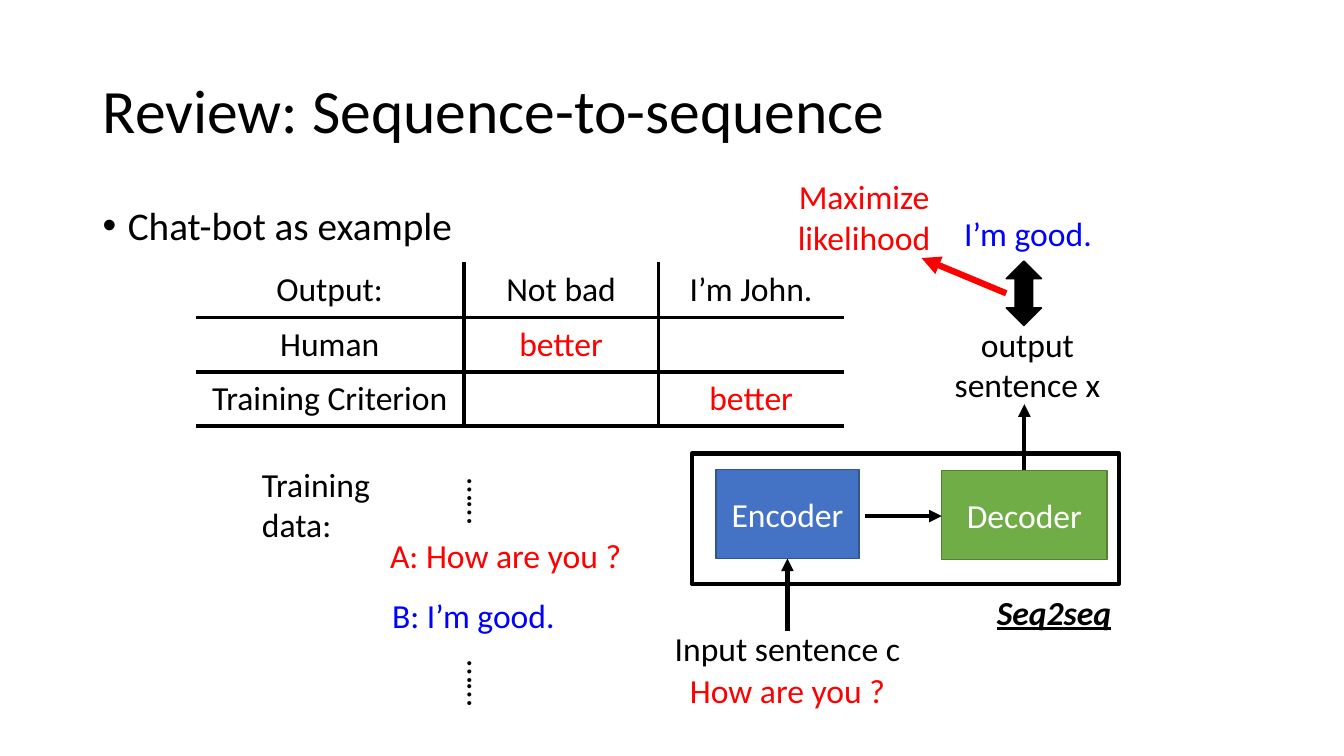
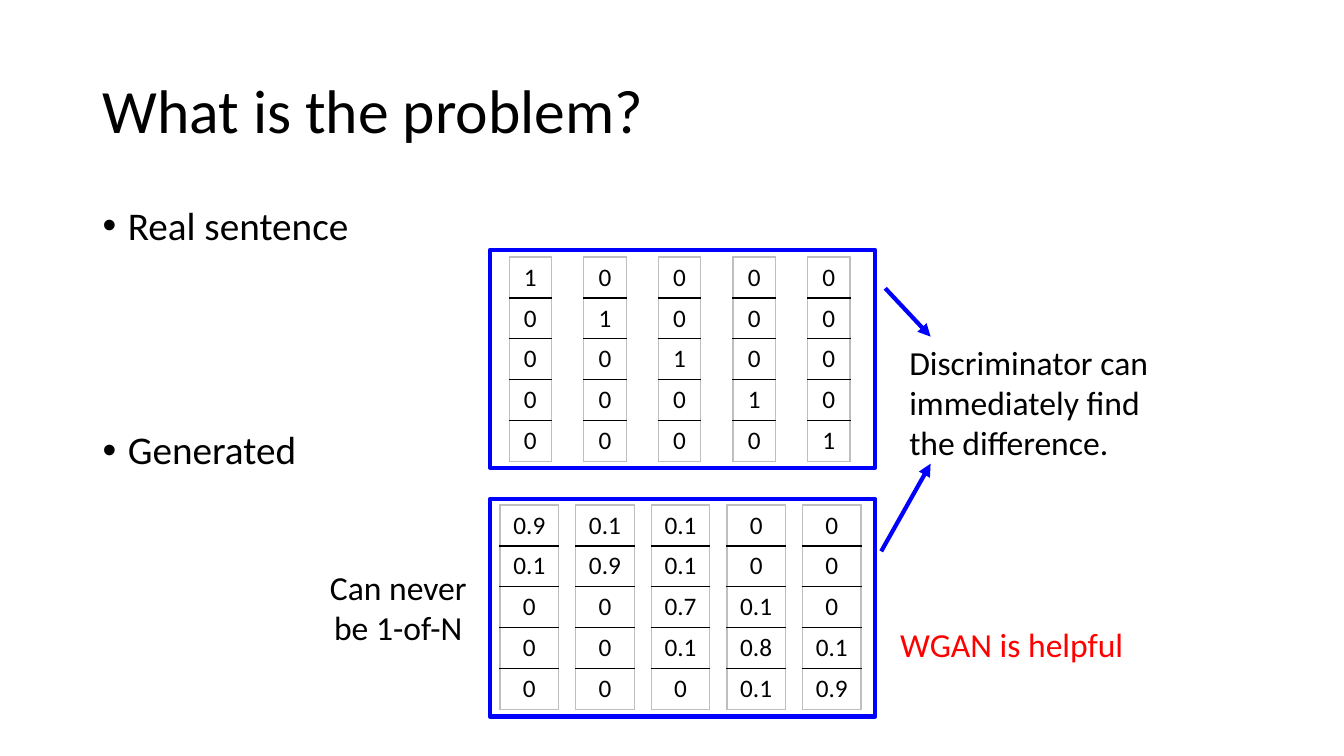
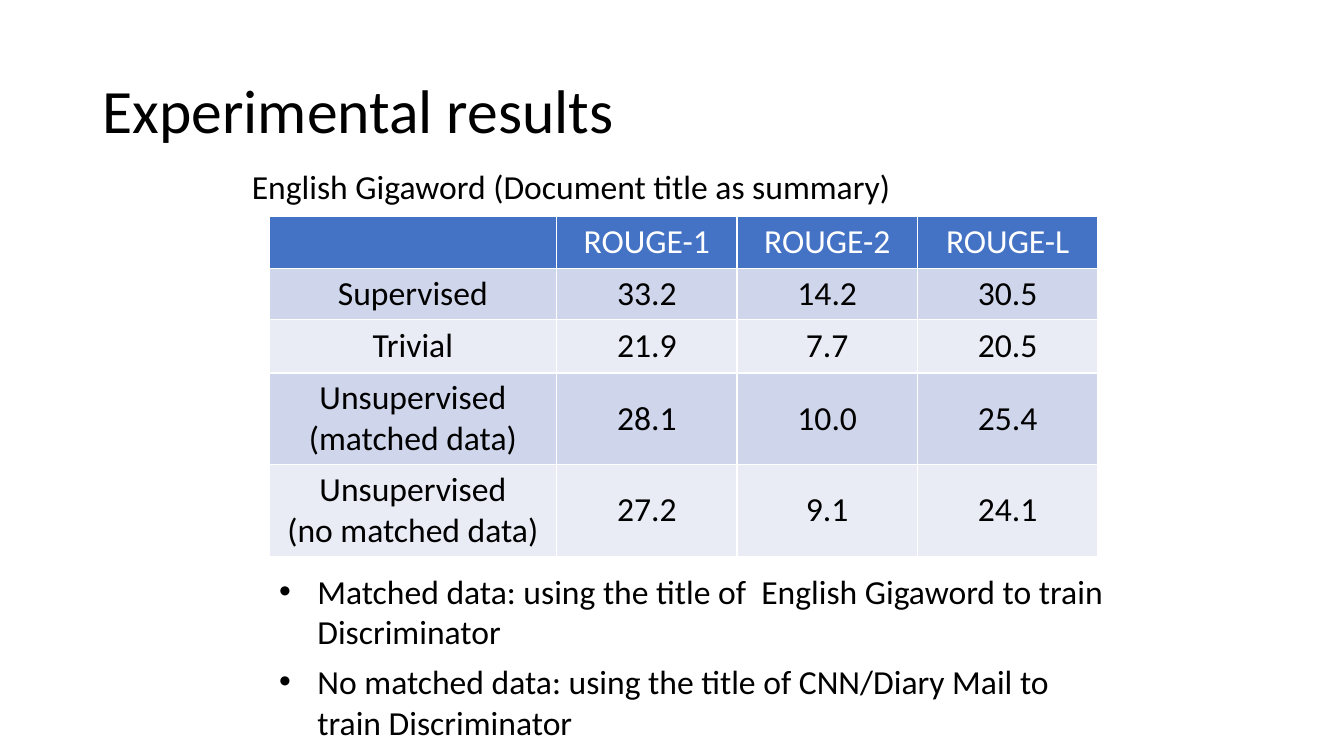
from lxml.etree import SubElement
from pptx import Presentation
from pptx.dml.color import RGBColor
from pptx.enum.shapes import MSO_CONNECTOR, MSO_SHAPE
from pptx.enum.text import MSO_ANCHOR, PP_ALIGN
from pptx.oxml.ns import qn
from pptx.util import Inches, Pt

FONT = "Calibri"
COLORS = {
    "black": "000000", "white": "FFFFFF", "red": "FF0000", "blue": "0000FF",
    "grey": "BFBFBF", "encoder": "4472C4", "encoder_edge": "325491",
    "decoder": "70AD47", "decoder_edge": "538035",
    "header": "4472C4", "band_dark": "CFD5EA", "band_light": "E9EBF5",
}
ALIGN = {"left": PP_ALIGN.LEFT, "center": PP_ALIGN.CENTER, "right": PP_ALIGN.RIGHT}


def rgb(name):
    return RGBColor.from_string(COLORS[name])


def add_bullet(paragraph, indent):
    props = paragraph._p.get_or_add_pPr()
    props.set("marL", str(Inches(indent)))
    props.set("indent", str(-Inches(indent)))
    SubElement(props, qn("a:buFont")).set("typeface", "Arial")
    SubElement(props, qn("a:buChar")).set("char", "•")


def set_cell_edges(cell, pens):
    """Draw the left, right, top and bottom edges; each pen is (colour, points) or None."""
    props = cell._tc.get_or_add_tcPr()
    for position, (tag, pen) in enumerate(zip(("lnL", "lnR", "lnT", "lnB"), pens)):
        edge = SubElement(props, qn(f"a:{tag}"))
        props.insert(position, edge)
        if pen is None:
            SubElement(edge, qn("a:noFill"))
            continue
        color, width = pen
        edge.set("w", str(Pt(width)))
        fill = SubElement(edge, qn("a:solidFill"))
        SubElement(fill, qn("a:srgbClr")).set("val", COLORS[color])


class Deck:
    def __init__(self):
        self.prs = Presentation()
        self.prs.slide_width, self.prs.slide_height = Inches(13.33), Inches(7.5)
        self.slide = None

    def new_slide(self, title):
        self.slide = self.prs.slides.add_slide(self.prs.slide_layouts[6])
        self.text(title, 0.92, 0.4, 11.5, 1.45, size=44, spacing=0.9,
                  anchor=MSO_ANCHOR.MIDDLE)

    def style(self, paragraph, size=24, color="black", align="left"):
        paragraph.alignment = ALIGN[align]
        font = paragraph.font
        font.name, font.size = FONT, Pt(size)
        font.color.rgb = rgb(color)
        return font

    def text(self, content, left, top, width, height=0.5, size=24, color="black",
             align="left", anchor=MSO_ANCHOR.TOP, spacing=None, gap=0, indent=None,
             rotation=0, emphasis=False):
        """Place one paragraph per line of content; a given indent makes them bullets."""
        box = self.slide.shapes.add_textbox(*map(Inches, (left, top, width, height)))
        box.rotation = rotation
        frame = box.text_frame
        frame.word_wrap, frame.vertical_anchor = True, anchor
        for number, line in enumerate(content.split("\n")):
            paragraph = frame.add_paragraph() if number else frame.paragraphs[0]
            paragraph.text = line
            if indent:
                add_bullet(paragraph, indent)
            if spacing:
                paragraph.line_spacing = spacing
            if number:
                paragraph.space_before = Pt(gap)
            font = self.style(paragraph, size, color, align)
            if emphasis:
                font.bold = font.italic = font.underline = True

    def topics(self, content, gap=10):
        self.text(content, 0.92, 2, 11.5, 4.76, size=28, spacing=0.9, gap=gap, indent=0.25)

    def shape(self, kind, left, top, width, height, edge, weight, fill=None, label=None):
        shape = self.slide.shapes.add_shape(kind, *map(Inches, (left, top, width, height)))
        shape.shadow.inherit = False
        if fill:
            shape.fill.solid()
            shape.fill.fore_color.rgb = rgb(fill)
        else:
            shape.fill.background()
        shape.line.color.rgb = rgb(edge)
        shape.line.width = Pt(weight)
        if label:
            shape.text_frame.vertical_anchor = MSO_ANCHOR.MIDDLE
            paragraph = shape.text_frame.paragraphs[0]
            paragraph.text = label
            self.style(paragraph, color="white", align="center")

    def frame(self, left, top, width, height, edge):
        self.shape(MSO_SHAPE.RECTANGLE, left, top, width, height, edge, 3)

    def arrow(self, start, end, color="black", weight=3):
        line = self.slide.shapes.add_connector(
            MSO_CONNECTOR.STRAIGHT, *map(Inches, (*start, *end)))
        line.line.color.rgb = rgb(color)
        line.line.width = Pt(weight)
        SubElement(line.line._get_or_add_ln(), qn("a:tailEnd")).set("type", "triangle")
        SubElement(line._element.spPr, qn("a:effectLst"))

    def table(self, rows, left, top, widths, heights, edges, size=24,
              row_styles=None, tints=None):
        """Edges maps left, right, top, bottom and inner to pens; row_styles
        lists (fill, text colour); tints recolours single words."""
        row_styles = row_styles or [(None, "black")] * len(rows)
        table = self.slide.shapes.add_table(
            len(rows), len(widths),
            *map(Inches, (left, top, sum(widths), sum(heights)))).table
        table.first_row = table.horz_banding = False
        for column, width in zip(table.columns, widths):
            column.width = Inches(width)
        for row, height in zip(table.rows, heights):
            row.height = Inches(height)
        inner = edges["inner"]
        for r, (values, (fill, color)) in enumerate(zip(rows, row_styles)):
            for c, value in enumerate(values):
                cell = table.cell(r, c)
                cell.text = value
                cell.vertical_anchor = MSO_ANCHOR.MIDDLE
                for paragraph in cell.text_frame.paragraphs:
                    self.style(paragraph, size, (tints or {}).get(value, color), "center")
                if fill:
                    cell.fill.solid()
                    cell.fill.fore_color.rgb = rgb(fill)
                else:
                    cell.fill.background()
                set_cell_edges(cell, (
                    inner if c else edges.get("left"),
                    inner if c < len(widths) - 1 else edges.get("right"),
                    inner if r else edges.get("top"),
                    inner if r < len(rows) - 1 else edges.get("bottom")))

    def vectors(self, columns, left, top, pitch, width):
        """Set one single-column table per word vector, at an equal pitch."""
        rim = dict.fromkeys(("left", "right", "top", "bottom"), ("grey", 1))
        for number, column in enumerate(columns):
            self.table([[value] for value in column.split()], left + number * pitch, top,
                       [width], [2.03 / 5] * 5, {**rim, "inner": ("black", 1)}, size=18)


def sequence_slide(deck):
    deck.new_slide("Review: Sequence-to-sequence")
    deck.topics("Chat-bot as example")

    rule = ("black", 3)
    deck.table([["Output:", "Not bad", "I’m John."],
                ["Human", "better", ""],
                ["Training Criterion", "", "better"]],
               1.94, 2.6, [2.66, 1.93, 1.84], [0.55, 0.54, 0.54],
               {"inner": rule, "bottom": rule}, tints={"better": "red"})

    deck.text("Training data:", 2.5, 4.55, 1.34, 0.91)
    deck.text("A: How are you ?", 3.77, 5.26, 2.94, color="red")
    deck.text("B: I’m good.", 3.79, 5.85, 2.11, color="blue")
    for dots_top in (4.81, 6.61):
        deck.text("……", 4.36, dots_top, 0.82, rotation=90)

    deck.frame(6.86, 4.5, 4.24, 1.29, "black")
    deck.shape(MSO_SHAPE.RECTANGLE, 7.1, 4.66, 1.42, 0.88, "encoder_edge", 1,
               "encoder", "Encoder")
    deck.shape(MSO_SHAPE.RECTANGLE, 9.34, 4.67, 1.64, 0.88, "decoder_edge", 1,
               "decoder", "Decoder")
    deck.arrow((7.81, 6.26), (7.81, 5.54))
    deck.arrow((8.58, 5.12), (9.34, 5.12))
    deck.arrow((10.16, 4.66), (10.16, 4.01))
    deck.text("Seq2seq", 9.19, 5.82, 1.93, align="right", emphasis=True)
    deck.text("Input sentence c", 6.35, 6.18, 2.92, align="center")
    deck.text("How are you ?", 6.35, 6.6, 2.92, color="red", align="center")

    deck.text("output sentence x", 9.24, 3.16, 1.9, 0.91, align="center")
    deck.text("I’m good.", 9.14, 2.06, 2.11, color="blue", align="center")
    deck.shape(MSO_SHAPE.UP_DOWN_ARROW, 9.98, 2.59, 0.35, 0.64, "black", 1, "black")
    deck.text("Maximize likelihood", 7.62, 1.7, 1.9, 0.91, color="red", align="center")
    deck.arrow((9.98, 2.91), (9.14, 2.56), "red", 4.5)


def problem_slide(deck):
    deck.new_slide("What is the problem?")
    deck.topics("Real sentence\nGenerated", gap=130)

    one_hot = [" ".join("1" if r == c else "0" for r in range(5)) for c in range(5)]
    deck.vectors(one_hot, 5.05, 2.55, 0.74, 0.42)
    generated = ["0.9 0.1 0 0 0", "0.1 0.9 0 0 0", "0.1 0.1 0.7 0.1 0",
                 "0 0 0.1 0.8 0.1", "0 0 0 0.1 0.9"]
    deck.vectors(generated, 4.96, 5.01, 0.75, 0.58)
    for sentence_top in (2.48, 4.95):
        deck.frame(4.86, sentence_top, 3.82, 2.16, "blue")

    deck.text("Can never be 1-of-N", 3.01, 5.57, 1.88, 0.91, align="center")
    deck.text("Discriminator can immediately find the difference.", 8.92, 3.34, 2.94, 1.31)
    deck.text("WGAN is helpful", 8.83, 6.14, 2.52, color="red")
    deck.arrow((8.78, 2.86), (9.23, 3.34), "blue")
    deck.arrow((8.74, 5.47), (9.23, 4.6), "blue")


def results_slide(deck):
    deck.new_slide("Experimental results")
    deck.text("English Gigaword (Document title as summary)", 1.55, 1.6, 8.23, align="center")

    scores = [["", "ROUGE-1", "ROUGE-2", "ROUGE-L"],
              ["Supervised", "33.2", "14.2", "30.5"],
              ["Trivial", "21.9", "7.7", "20.5"],
              ["Unsupervised\n(matched data)", "28.1", "10.0", "25.4"],
              ["Unsupervised\n(no matched data)", "27.2", "9.1", "24.1"]]
    bands = [("band_dark", "black"), ("band_light", "black")] * 2
    sides = ("left", "right", "top", "bottom", "inner")
    deck.table(scores, 2.67, 2.15, [2.85] + [1.79] * 3, [0.51, 0.51, 0.53, 0.91, 0.91],
               dict.fromkeys(sides, ("white", 1)),
               row_styles=[("header", "white")] + bands)

    deck.text("Matched data: using the title of  English Gigaword to train Discriminator",
              2.67, 5.61, 9.14, 0.91, indent=0.38)
    deck.text("No matched data: using the title of CNN/Diary Mail to train Discriminator",
              2.67, 6.51, 8.31, 0.91, indent=0.38)


def main():
    deck = Deck()
    sequence_slide(deck)
    problem_slide(deck)
    results_slide(deck)
    deck.prs.save("out.pptx")


if __name__ == "__main__":
    main()
